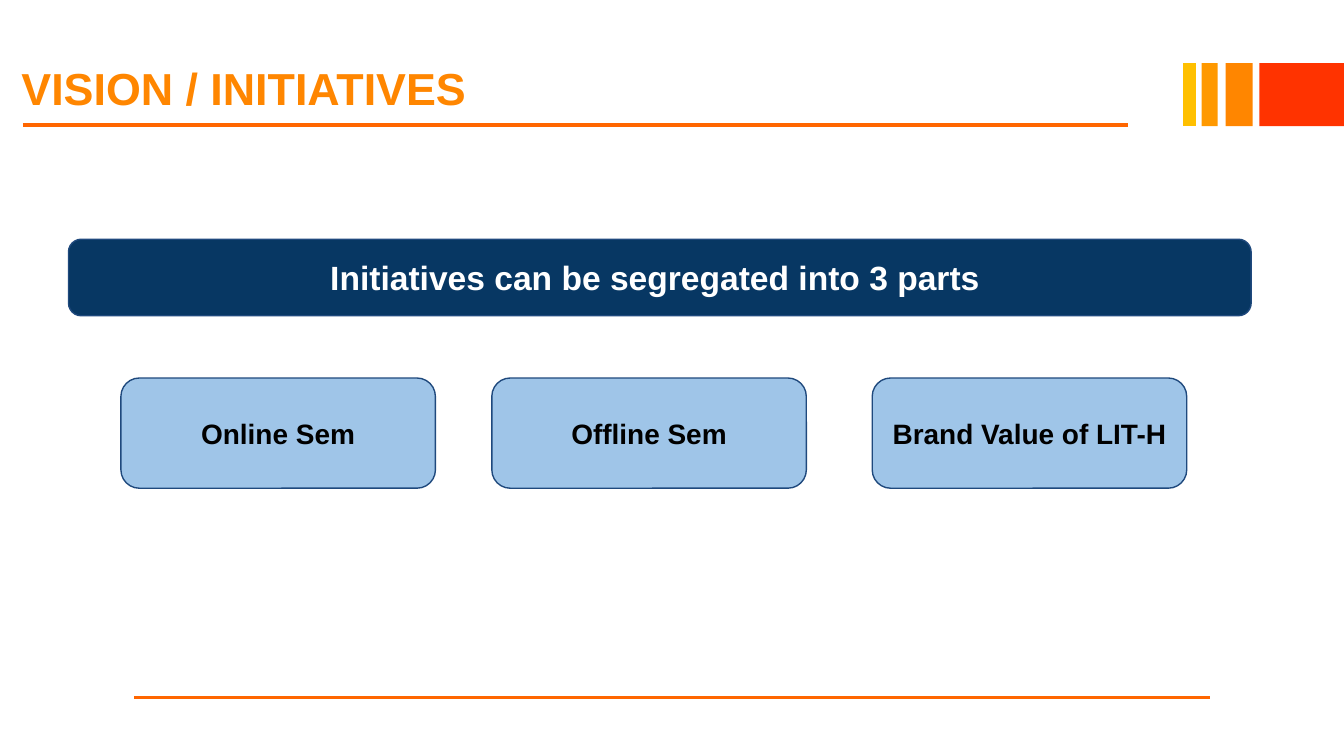
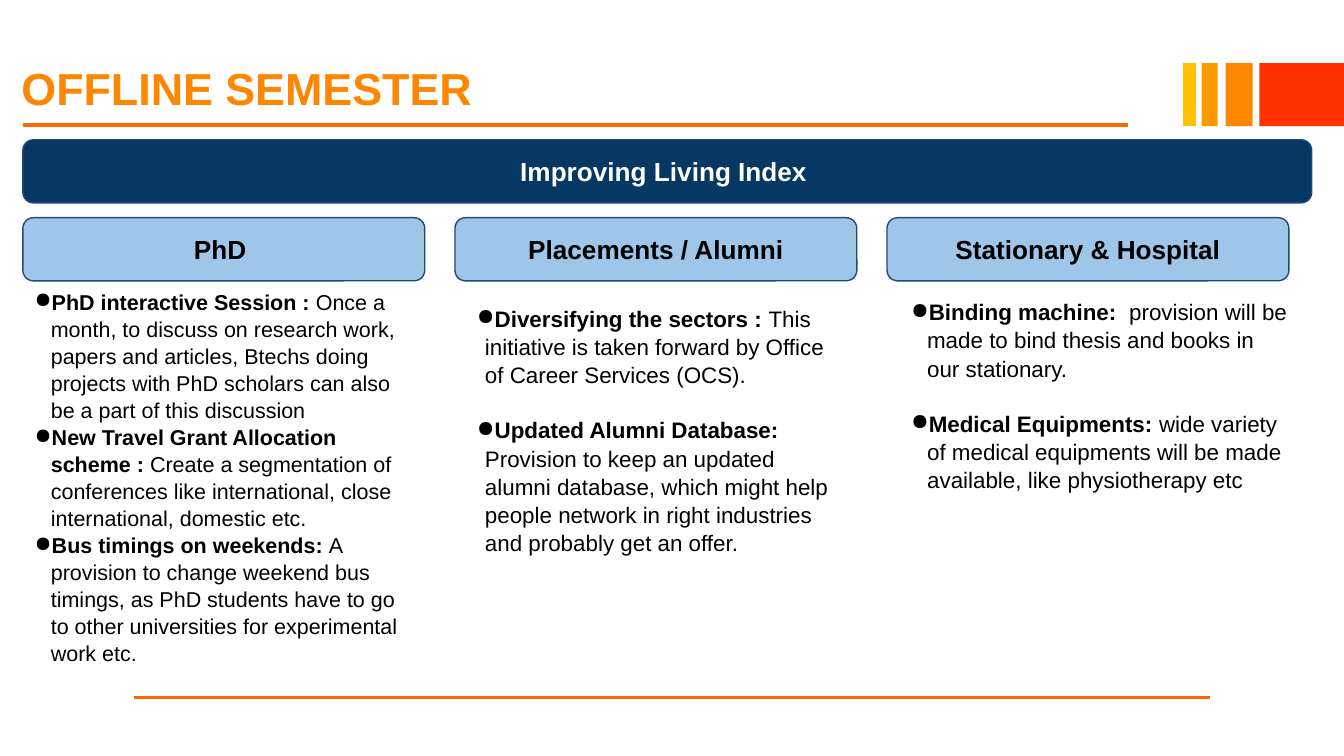
from dataclasses import dataclass

from lxml.etree import SubElement
from pptx import Presentation
from pptx.dml.color import RGBColor
from pptx.enum.shapes import MSO_CONNECTOR, MSO_SHAPE
from pptx.enum.text import MSO_ANCHOR, PP_ALIGN
from pptx.oxml.ns import qn
from pptx.slide import Slide
from pptx.text.text import TextFrame, _Paragraph, _Run
from pptx.util import Emu, Inches, Pt

SLIDE_WIDTH = Inches(10)
SLIDE_HEIGHT = Inches(5.625)
TITLE_ONLY = 5
FONT = "Arial"
BULLET = "●"
INSET = Inches(0.1)

TITLE_ORANGE = RGBColor(0xFF, 0x86, 0x00)
RULE_ORANGE = RGBColor(0xFF, 0x66, 0x00)
BAR_AMBER = RGBColor(0xFF, 0x99, 0x00)
BAR_YELLOW = RGBColor(0xFF, 0xC0, 0x00)
BAR_RED = RGBColor(0xFF, 0x33, 0x00)
NAVY = RGBColor(0x07, 0x37, 0x63)
SKY = RGBColor(0x9F, 0xC5, 0xE8)
OUTLINE = RGBColor(0x1F, 0x49, 0x7D)
BLACK = RGBColor(0, 0, 0)
WHITE = RGBColor(0xFF, 0xFF, 0xFF)


@dataclass(frozen=True)
class Area:
    """A rectangle in percent of the slide's width and height."""

    left: float
    top: float
    width: float
    height: float

    def box(self) -> tuple[Emu, Emu, Emu, Emu]:
        """Return left, top, width and height as lengths."""
        return (across(self.left), down(self.top),
                across(self.width), down(self.height))


@dataclass(frozen=True)
class BoxStyle:
    """Fill and text look of a rounded box."""

    fill: RGBColor
    text: RGBColor


@dataclass(frozen=True)
class Rule:
    """A straight line, its ends in percent of the slide."""

    start: tuple[float, float]
    end: tuple[float, float]
    color: RGBColor
    points: float


@dataclass(frozen=True)
class Item:
    """A bullet with a bold lead and a plain explanation."""

    lead: str
    detail: str


@dataclass(frozen=True)
class Column:
    """A heading with its bullet list and the list's layout."""

    heading: str
    area: Area
    size: float
    margin: float
    hanging: float
    gap: float
    items: tuple[Item, ...]


BANNER = BoxStyle(NAVY, WHITE)
CARD = BoxStyle(SKY, BLACK)

BAND_TOP, BAND_HEIGHT = 8.36, 8.36
BARS = ((89.4, 1.2, BAR_AMBER), (91.2, 2, TITLE_ORANGE), (93.7, 6.3, BAR_RED))
RULES = (
    Rule((88.5, BAND_TOP), (88.5, BAND_TOP + BAND_HEIGHT), BAR_YELLOW, 6.72),
    Rule((10, 92.27), (90, 92.27), RULE_ORANGE, 2),
    Rule((1.7, 16.53), (83.9, 16.53), RULE_ORANGE, 2),
)
TITLE_AREA = Area(1.5, 7.82, 98.5, 8.36)

INITIATIVES = ((9, "Online Sem"), (36.6, "Offline Sem"),
               (64.9, "Brand Value of LIT-H"))

HEADING_LEFT, HEADING_STEP = 1.7, 32.15
COLUMNS = (
    Column("PhD ", Area(1.6, 36.27, 30.1, 47.82), 11.5, 0.12, 0.14, 0, (
        Item("PhD interactive Session : ",
             "Once a month, to discuss on research work, papers and articles, "
             "Btechs doing projects with PhD scholars can also be a part of "
             "this discussion"),
        Item("New Travel Grant Allocation scheme : ",
             "Create a segmentation of conferences like international, close "
             "international, domestic etc."),
        Item("Bus timings on weekends: ",
             "A provision to change weekend bus timings, as PhD students have "
             "to go to other universities for experimental work etc."),
    )),
    Column("Placements / Alumni", Area(34.5, 38.4, 29.2, 45.69),
           12, 0.06, 0.15, 14.4, (
        Item("Diversifying the sectors : ",
             "This initiative is taken forward by Office of Career Services "
             "(OCS)."),
        Item("Updated Alumni Database: ",
             "Provision to keep an updated alumni database, which might help "
             "people network in right industries and probably get an offer."),
    )),
    Column("Stationary & Hospital", Area(66.8, 37.51, 30.1, 44.8),
           12, 0.12, 0.15, 14.4, (
        Item("Binding machine: ",
             " provision will be made to bind thesis and books in our "
             "stationary."),
        Item("Medical Equipments: ",
             "wide variety of medical equipments will be made available, like "
             "physiotherapy etc"),
    )),
)


def across(percent: float) -> Emu:
    """Return a share of the slide's width."""
    return Emu(round(SLIDE_WIDTH * percent / 100))


def down(percent: float) -> Emu:
    """Return a share of the slide's height."""
    return Emu(round(SLIDE_HEIGHT * percent / 100))


def format_run(run: _Run, size: float, color: RGBColor, bold: bool) -> None:
    """Set the font of a run."""
    run.font.name = FONT
    run.font.size = Pt(size)
    run.font.color.rgb = color
    run.font.bold = bold


def set_insets(text_frame: TextFrame, inset: Emu) -> None:
    """Wrap the text and give all four sides one inset."""
    text_frame.word_wrap = True
    text_frame.margin_left = text_frame.margin_right = inset
    text_frame.margin_top = text_frame.margin_bottom = inset


def add_rule(slide: Slide, rule: Rule) -> None:
    """Draw a straight line without a shadow."""
    (left, top), (right, bottom) = rule.start, rule.end
    connector = slide.shapes.add_connector(
        MSO_CONNECTOR.STRAIGHT,
        across(left), down(top), across(right), down(bottom))
    connector.line.color.rgb = rule.color
    connector.line.width = Pt(rule.points)
    SubElement(connector._element.spPr, qn("a:effectLst"))


def add_titled_slide(presentation: Presentation, title: str) -> Slide:
    """Add a slide with the shared bars, rules and title."""
    slide = presentation.slides.add_slide(
        presentation.slide_layouts[TITLE_ONLY])
    for left, width, color in BARS:
        bar = slide.shapes.add_shape(
            MSO_SHAPE.RECTANGLE,
            *Area(left, BAND_TOP, width, BAND_HEIGHT).box())
        bar.shadow.inherit = False
        bar.fill.solid()
        bar.fill.fore_color.rgb = color
        bar.line.fill.background()
    for rule in RULES:
        add_rule(slide, rule)

    shape = slide.shapes.title
    shape.left, shape.top, shape.width, shape.height = TITLE_AREA.box()
    text_frame = shape.text_frame
    text_frame.text = title
    set_insets(text_frame, Emu(0))
    text_frame.margin_left = text_frame.margin_top = Inches(0.01)
    text_frame.vertical_anchor = MSO_ANCHOR.TOP
    paragraph = text_frame.paragraphs[0]
    paragraph.alignment = PP_ALIGN.LEFT
    format_run(paragraph.runs[0], 24, TITLE_ORANGE, True)
    return slide


def add_box(slide: Slide, area: Area, text: str, size: float,
            style: BoxStyle) -> None:
    """Draw a rounded box with centred bold text."""
    shape = slide.shapes.add_shape(MSO_SHAPE.ROUNDED_RECTANGLE, *area.box())
    shape.shadow.inherit = False
    shape.fill.solid()
    shape.fill.fore_color.rgb = style.fill
    shape.line.color.rgb = OUTLINE
    shape.line.width = Pt(0.75)
    text_frame = shape.text_frame
    text_frame.text = text
    set_insets(text_frame, INSET)
    text_frame.vertical_anchor = MSO_ANCHOR.MIDDLE
    paragraph = text_frame.paragraphs[0]
    paragraph.alignment = PP_ALIGN.CENTER
    format_run(paragraph.runs[0], size, style.text, True)


def set_bullet(paragraph: _Paragraph, margin: float, hanging: float) -> None:
    """Give a paragraph a black bullet and a hanging indent in inches."""
    properties = paragraph._p.get_or_add_pPr()
    properties.set("marL", str(Inches(margin)))
    properties.set("indent", str(-Inches(hanging)))
    color = SubElement(properties, qn("a:buClr"))
    SubElement(color, qn("a:srgbClr"), val=str(BLACK))
    SubElement(properties, qn("a:buChar"), char=BULLET)


def add_bullet_list(slide: Slide, column: Column) -> None:
    """Write a column's items as bullets."""
    text_frame = slide.shapes.add_textbox(*column.area.box()).text_frame
    set_insets(text_frame, INSET)
    for index, item in enumerate(column.items):
        paragraph = (text_frame.add_paragraph() if index
                     else text_frame.paragraphs[0])
        paragraph.line_spacing = 1.05
        paragraph.space_before = Pt(column.gap if index else 0)
        set_bullet(paragraph, column.margin, column.hanging)
        for text, bold in ((item.lead, True), (item.detail, False)):
            run = paragraph.add_run()
            run.text = text
            format_run(run, column.size, BLACK, bold)


def build_initiatives(presentation: Presentation) -> None:
    """Build the slide that names the three initiatives."""
    slide = add_titled_slide(presentation, "VISION / INITIATIVES")
    add_box(slide, Area(5.1, 31.64, 88, 10.13),
            "Initiatives can be segregated into 3 parts ", 18, BANNER)
    for left, text in INITIATIVES:
        add_box(slide, Area(left, 50, 23.4, 14.58), text, 15, CARD)


def build_offline_semester(presentation: Presentation) -> None:
    """Build the slide with three columns of plans."""
    slide = add_titled_slide(presentation, "OFFLINE SEMESTER")
    add_box(slide, Area(HEADING_LEFT, 18.49, 95.9, 8.36),
            "Improving Living Index ", 14, BANNER)
    for index, column in enumerate(COLUMNS):
        left = HEADING_LEFT + index * HEADING_STEP
        add_box(slide, Area(left, 28.8, 29.9, 8.36), column.heading, 14, CARD)
        add_bullet_list(slide, column)


def main() -> None:
    """Build and save the presentation."""
    presentation = Presentation()
    presentation.slide_width = SLIDE_WIDTH
    presentation.slide_height = SLIDE_HEIGHT
    build_initiatives(presentation)
    build_offline_semester(presentation)
    presentation.save("out.pptx")


main()
